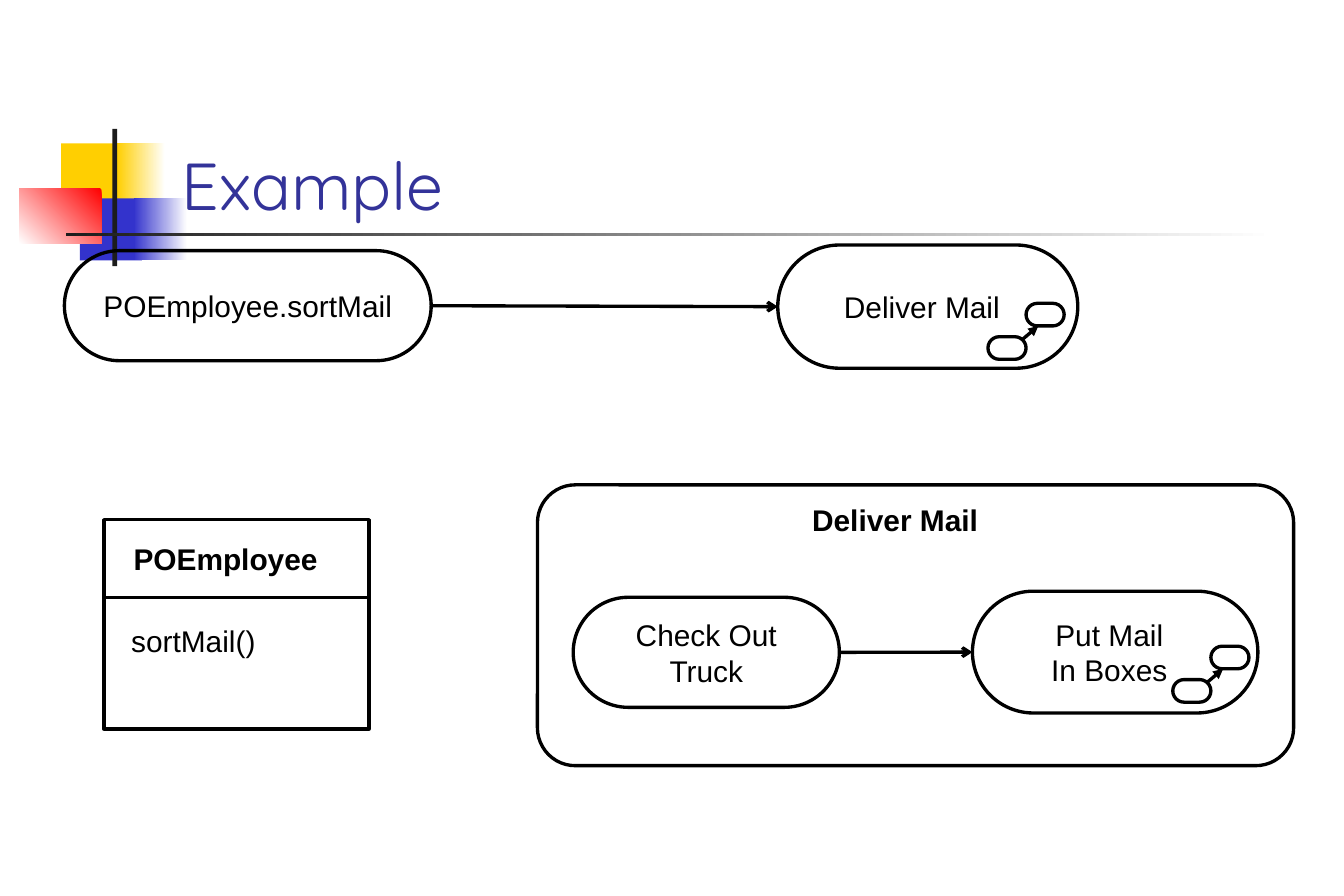
from pptx import Presentation
from pptx.dml.color import RGBColor as RGB
from pptx.enum.shapes import MSO_CONNECTOR as LINK, MSO_SHAPE as FORM
from pptx.enum.text import MSO_ANCHOR as ANCHOR, PP_ALIGN as ALIGN
from pptx.oxml.ns import qn
from pptx.util import Cm, Pt
from lxml.etree import SubElement

INK = {"black": "000000", "white": "FFFFFF", "gold": "FFCF01", "blue": "3333CC",
       "red": "FF0000", "coal": "1C1C1C", "title": "333399"}
INK = {name: RGB.from_string(code) for name, code in INK.items()}

deck = Presentation()
deck.slide_width, deck.slide_height = Cm(28.58), Cm(19.05)
slide = deck.slides.add_slide(deck.slide_layouts[5])
shapes = slide.shapes


def draw(box, words="", form=FORM.RECTANGLE, bend=None, left=0.25):
    """Add an outlined, unfilled shape with centred text; left is its left inset."""
    item = shapes.add_shape(form, *map(Cm, box))
    item.shadow.inherit = False
    item.fill.background()
    item.line.color.rgb = INK["black"]
    item.line.width = Pt(2)
    if bend:
        item.adjustments[0] = bend
    if words:
        frame = item.text_frame
        frame.text = words
        frame.word_wrap = False
        frame.vertical_anchor = ANCHOR.MIDDLE
        frame.margin_left = Cm(left)
        for para in frame.paragraphs:
            para.alignment = ALIGN.CENTER
            for key, val in {"name": "Arial", "size": Pt(18)}.items():
                setattr(para.font, key, val)
            para.font.color.rgb = INK["black"]
    return item


def link(x1, y1, x2, y2, head=None):
    line = shapes.add_connector(LINK.STRAIGHT, *map(Cm, (x1, y1, x2, y2)))
    line.line.color.rgb = INK["black"]
    line.line.width = Pt(2)
    if head:
        SubElement(line.line._get_or_add_ln(), qn("a:tailEnd"), type=head)
    SubElement(line._element.spPr, qn("a:effectLst"))
    return line


# Corner blocks and title rule: box, first colour, last colour, angle
decor = [
    ((1.3, 3.05, 1.37, 1.32), "gold", None, 0),
    ((2.49, 3.05, 1.02, 1.32), "white", "gold", 180),
    ((1.7, 4.22, 1.32, 1.32), "blue", None, 0),
    ((2.84, 4.22, 1.14, 1.32), "white", "blue", 180),
    ((0.41, 4.01, 1.75, 1.17), "red", "white", 225),
    ((2.39, 2.74, 0.1, 2.92), "coal", None, 0),
    ((1.4, 4.95, 25.7, 0.08), "white", "coal", 180),
]
for box, first, last, angle in decor:
    block = draw(box)
    block.line.fill.background()
    if last:
        block.fill.gradient()
        block.fill.gradient_angle = angle
        for stop, tone in zip(block.fill.gradient_stops, (first, last)):
            stop.color.rgb = INK[tone]
    else:
        block.fill.solid()
        block.fill.fore_color.rgb = INK[first]

# Title, in front of the blocks
title = shapes.title
title._element.getparent().append(title._element)
title.left, title.top, title.width, title.height = map(Cm, (3.61, 1.7, 24.36, 3.18))
title.text_frame.text = "Example"
title.text_frame.vertical_anchor = ANCHOR.BOTTOM
para = title.text_frame.paragraphs[0]
para.alignment = ALIGN.LEFT
for key, val in {"name": "Quicksand", "size": Pt(40)}.items():
    setattr(para.font, key, val)
para.font.color.rgb = INK["title"]

# Frames of the class and of the activity
draw((2.21, 11.05, 5.64, 4.45))
link(2.21, 12.7, 7.85, 12.7)
draw((11.43, 10.31, 16.08, 5.97), form=FORM.ROUNDED_RECTANGLE, bend=0.135)

# Action pairs, each joined by an arrow
pairs = [
    (((1.37, 5.33, 7.8, 2.34), "POEmployee.sortMail"),
     ((16.54, 5.21, 6.38, 2.62), "Deliver Mail")),
    (((12.19, 12.7, 5.66, 2.34), "Check Out\nTruck"),
     ((20.68, 12.57, 6.07, 2.59), "Put Mail\nIn Boxes")),
]
for (box, words), (goal, task) in pairs:
    start = draw(box, words, FORM.ROUNDED_RECTANGLE, 0.5)
    end = draw(goal, task, FORM.ROUNDED_RECTANGLE, 0.5, 0)
    arrow = link(0, 0, 1, 1, "arrow")
    arrow.begin_connect(start, 3)
    arrow.end_connect(end, 1)

# Small subactivity icons
for x, y in [(21.01, 7.16), (24.94, 14.45)]:
    for dx, dy in [(0, 0), (0.81, -0.71)]:
        draw((x + dx, y + dy, 0.81, 0.48), form=FORM.ROUNDED_RECTANGLE, bend=0.5)
    link(x + 0.74, y + 0.05, x + 1.07, y - 0.23, "triangle")

# Labels
labels = [
    ((2.59, 11.38, 4.42, 1.02), "POEmployee", True),
    ((2.54, 13.11, 3.84, 1.02), "sortMail()", False),
    ((17.02, 10.54, 4.04, 1.02), "Deliver Mail", True),
]
for box, words, bold in labels:
    frame = shapes.add_textbox(*map(Cm, box)).text_frame
    frame.text = words
    frame.word_wrap = True
    font = frame.paragraphs[0].font
    for key, val in {"name": "Arial", "size": Pt(18), "bold": bold}.items():
        setattr(font, key, val)
    font.color.rgb = INK["black"]

deck.save("out.pptx")
